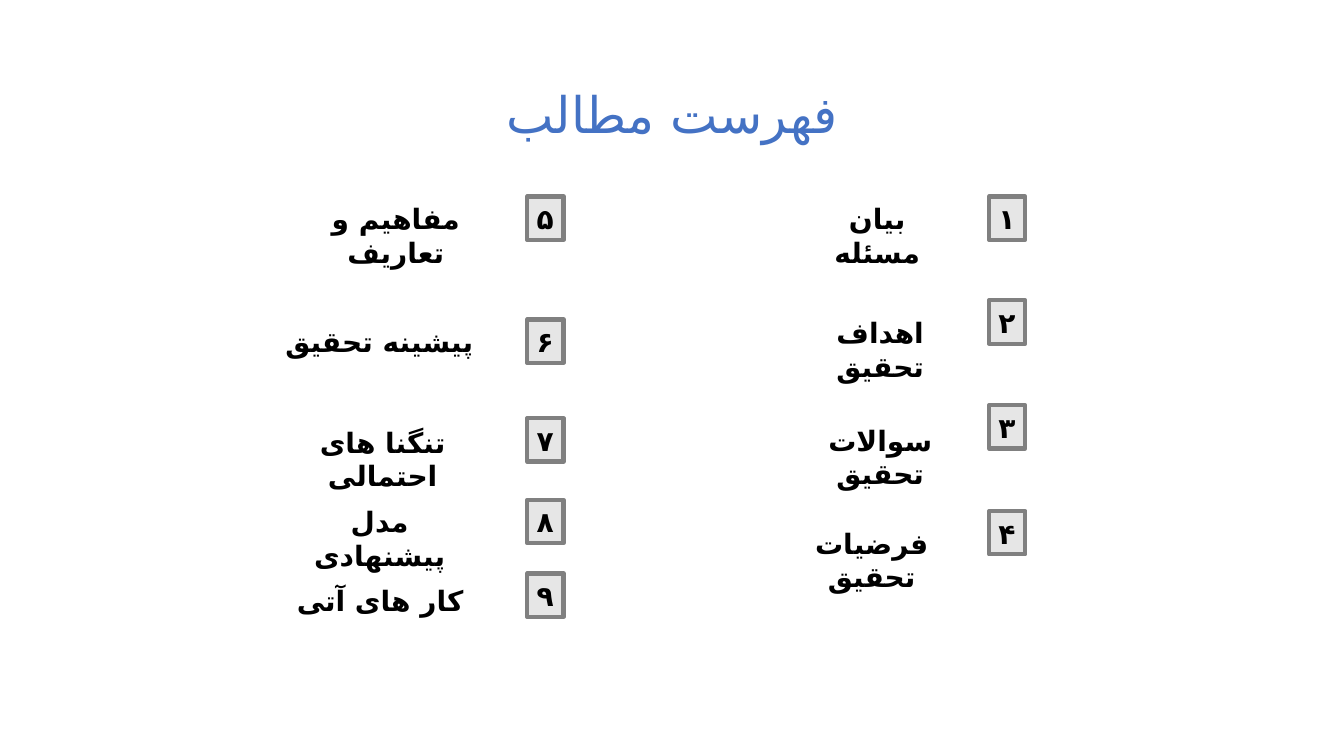
from dataclasses import dataclass

from lxml import etree
from pptx import Presentation
from pptx.dml.color import RGBColor
from pptx.enum.shapes import MSO_SHAPE
from pptx.enum.text import MSO_ANCHOR, MSO_AUTO_SIZE, PP_ALIGN
from pptx.oxml.ns import qn
from pptx.slide import Slide
from pptx.text.text import TextFrame
from pptx.util import Inches, Pt

RECT = MSO_SHAPE.RECTANGLE
CENTER = PP_ALIGN.CENTER
TOP, BOTTOM = MSO_ANCHOR.TOP, MSO_ANCHOR.BOTTOM
FIXED, GROW = MSO_AUTO_SIZE.NONE, MSO_AUTO_SIZE.SHAPE_TO_FIT_TEXT
PERSIAN_FONT = "DejaVu Sans"
BOX_WIDTH, ROW_HEIGHT = 0.36, 0.43
RIGHT_X, LEFT_X = 9.81, 5.23


@dataclass
class Topic:
    number: str
    label: str
    box_x: float
    box_y: float
    label_x: float
    label_y: float
    label_width: float


TOPICS = [
    Topic("۱", "بیان مسئله", RIGHT_X, 1.95, 7.85, 1.95, 1.7),
    Topic("۲", "اهداف تحقیق", RIGHT_X, 2.98, 7.88, 3.08, 1.7),
    Topic("۳", "سوالات تحقیق", RIGHT_X, 4.02, 7.88, 4.15, 1.7),
    Topic("۴", "فرضیات تحقیق", RIGHT_X, 5.07, 7.66, 5.17, 1.97),
    Topic("۵", "مفاهیم و تعاریف", LEFT_X, 1.95, 2.85, 1.95, 2.15),
    Topic("۶", "پیشینه تحقیق", LEFT_X, 3.17, 2.52, 3.17, 2.48),
    Topic("۷", "تنگنا های احتمالی", LEFT_X, 4.15, 2.74, 4.17, 2.11),
    Topic("۸", "مدل پیشنهادی", LEFT_X, 4.96, 2.71, 4.96, 2.11),
    Topic("۹", "کار های آتی", LEFT_X, 5.69, 2.54, 5.74, 2.46),
]


def color(value: str) -> RGBColor:
    return RGBColor.from_string(value)


def write(tf: TextFrame, text: str, font: str, size: int, fill: str, bold: bool) -> None:
    tf.word_wrap = True
    tf.text = text
    p = tf.paragraphs[0]
    p.alignment = CENTER
    p._p.get_or_add_pPr().set("rtl", "1")
    r = p.runs[0]
    r.font.size = Pt(size)
    r.font.bold = bold
    r.font.color.rgb = color(fill)
    r.font.name = font
    rPr = r._r.get_or_add_rPr()
    rPr.set("lang", "fa-IR")
    etree.SubElement(rPr, qn("a:cs"), typeface=PERSIAN_FONT)


def add_title(s: Slide, text: str) -> None:
    sp = s.shapes.title
    sp.left, sp.top = Inches(4.73), Inches(0.38)
    sp.width, sp.height = Inches(3.87), Inches(1.05)
    tf = sp.text_frame
    write(tf, text, "Inter", 36, "4472C4", False)
    tf.auto_size = FIXED
    tf.vertical_anchor = BOTTOM
    tf.margin_left = tf.margin_right = tf.margin_top = tf.margin_bottom = 0
    tf.paragraphs[0].line_spacing = 0.9


def add_topic(s: Slide, topic: Topic) -> None:
    box = s.shapes.add_shape(RECT, Inches(topic.box_x), Inches(topic.box_y),
                             Inches(BOX_WIDTH), Inches(ROW_HEIGHT))
    box.shadow.inherit = False
    box.fill.solid()
    box.fill.fore_color.rgb = color("E6E6E6")
    box.line.color.rgb = color("808080")
    box.line.width = Pt(3)
    label = s.shapes.add_textbox(Inches(topic.label_x), Inches(topic.label_y),
                                 Inches(topic.label_width), Inches(ROW_HEIGHT))
    for sp, text in ((box, topic.number), (label, topic.label)):
        tf = sp.text_frame
        write(tf, text, "Arial", 20, "000000", True)
        tf.auto_size = GROW
        tf.vertical_anchor = TOP


def main() -> None:
    prs = Presentation()
    prs.slide_width, prs.slide_height = Inches(13.33), Inches(7.5)
    s = prs.slides.add_slide(prs.slide_layouts[5])
    add_title(s, "فهرست مطالب")
    for topic in TOPICS:
        add_topic(s, topic)
    prs.save("out.pptx")


if __name__ == "__main__":
    main()
